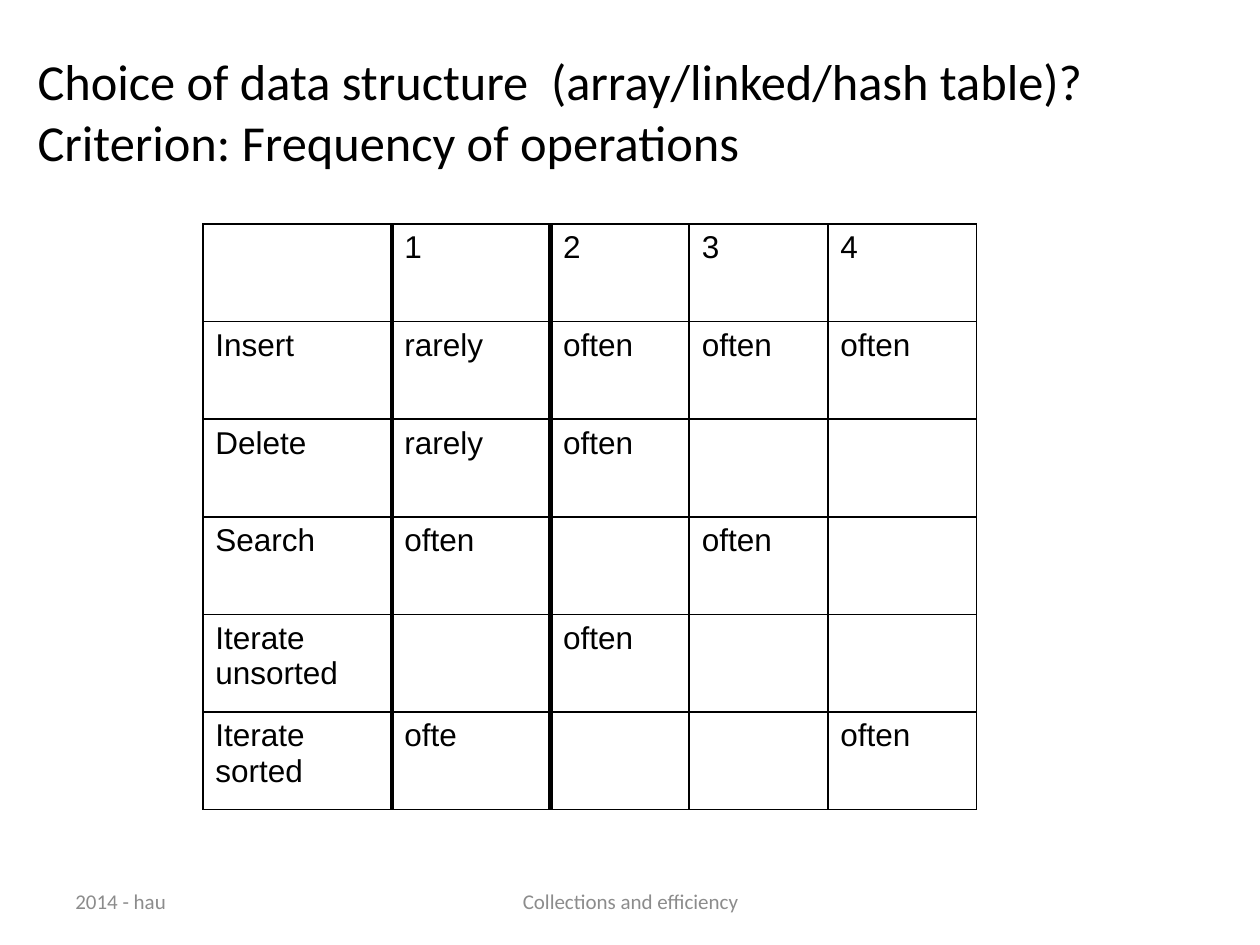
"""Build a slide with a table of operation frequencies per use case."""
import pptx
import pptx.dml.color
import pptx.enum.text
import pptx.oxml
import pptx.oxml.ns
import pptx.util

prs = pptx.Presentation()
prs.slide_width, prs.slide_height = pptx.util.Inches(10), pptx.util.Inches(7.5)
W, H = prs.slide_width, prs.slide_height
s = prs.slides.add_slide(prs.slide_layouts[6])
ALIGN = pptx.enum.text.PP_ALIGN
ANCHOR = pptx.enum.text.MSO_ANCHOR


def rgb(value):
    return pptx.dml.color.RGBColor.from_string(value)


def write(tf, text, name, size, color, align=ALIGN.LEFT):
    tf.text = text
    for p in tf.paragraphs:
        p.alignment = align
        for font in [p.font] + [r.font for r in p.runs]:
            for key, value in {"name": name, "size": pptx.util.Pt(size)}.items():
                setattr(font, key, value)
            font.color.rgb = rgb(color)


title = "Choice of data structure  (array/linked/hash table)?\vCriterion: Frequency of operations"
boxes = [
    (0.02, 0.028, 0.93, 0.179, title, 28.8, "000000", ALIGN.LEFT),
    (0.05, 0.927, 0.233, 0.053, "2014 - hau", 12, "8C8C8C", ALIGN.LEFT),
    (0.342, 0.927, 0.317, 0.053, "Collections and efficiency", 12, "8C8C8C", ALIGN.CENTER),
]
for x, y, w, h, text, size, color, align in boxes:
    sp = s.shapes.add_textbox(int(x * W), int(y * H), int(w * W), int(h * H))
    tf = sp.text_frame
    for key, value in {"word_wrap": True, "vertical_anchor": ANCHOR.MIDDLE}.items():
        setattr(tf, key, value)
    write(tf, text, "Calibri", size, color, align)

rows = [
    ["", "1", "2", "3", "4"],
    ["Insert", "rarely", "often", "often", "often"],
    ["Delete", "rarely", "often", "", ""],
    ["Search", "often", "", "often", ""],
    ["Iterate\nunsorted", "", "often", "", ""],
    ["Iterate sorted", "ofte", "", "", "often"],
]
col_shares = [0.15, 0.126, 0.11, 0.11, 0.118]
row_share = 0.62 / len(rows)
thick_edges = {1, 2}

table = s.shapes.add_table(
    len(rows), len(col_shares), int(0.161 * W), int(0.237 * H), int(sum(col_shares) * W), int(0.62 * H)
).table
for flag in ("first_row", "horz_banding"):
    setattr(table, flag, False)
for col, share in zip(table.columns, col_shares):
    col.width = int(share * W)
for row, texts in zip(table.rows, rows):
    row.height = int(row_share * H)
    for i, (cell, text) in enumerate(zip(row.cells, texts)):
        write(cell.text_frame, text, "Arial", 18, "000000")
        tcPr = cell._tc.get_or_add_tcPr()
        widths = {"L": 3 if i in thick_edges else 1, "R": 3 if i + 1 in thick_edges else 1, "T": 1, "B": 1}
        for side, width in widths.items():
            tcPr.append(pptx.oxml.parse_xml(
                f'<a:ln{side} {pptx.oxml.ns.nsdecls("a")} w="{pptx.util.Pt(width)}">'
                f'<a:solidFill><a:srgbClr val="000000"/></a:solidFill></a:ln{side}>'
            ))
        cell.fill.background()

prs.save("out.pptx")
